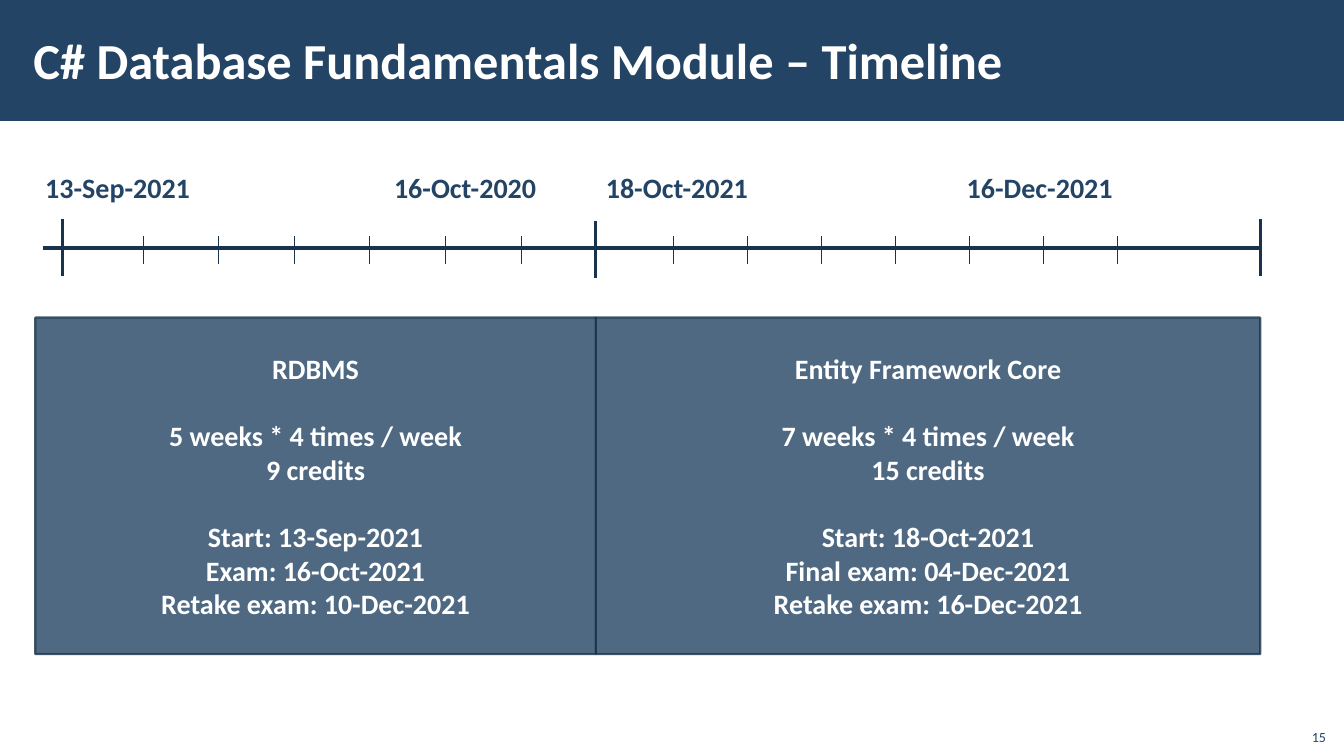
from dataclasses import dataclass
from pptx import Presentation
from pptx.dml.color import RGBColor
from pptx.enum.shapes import MSO_CONNECTOR, MSO_SHAPE
from pptx.enum.text import MSO_ANCHOR, MSO_AUTO_SIZE, PP_ALIGN
from pptx.oxml.ns import qn
from pptx.slide import Slide
from pptx.text.text import TextFrame
from pptx.util import Inches, Pt
from lxml.etree import SubElement

COLORS = {"navy": "234465", "edge": "1A334C", "white": "FFFFFF"}
FONT = "Calibri"
WIDTH, HEIGHT = Inches(13.33), Inches(7.5)
LEFT, MIDDLE, RIGHT = 2.63, 44.34, 93.77
AXIS, TICK_ROW, LABEL_ROW = 32.8, 33.07, 21.9


@dataclass
class Area:
    col: float
    row: float
    cols: float
    rows: float


@dataclass
class Label:
    text: str
    area: Area
    size: float = 20
    color: str = "navy"
    bold: bool = True
    align: PP_ALIGN = PP_ALIGN.LEFT
    anchor: MSO_ANCHOR = MSO_ANCHOR.TOP
    margin: float = 0.1
    wrap: bool = False


@dataclass
class Course:
    area: Area
    groups: list[list[str]]


@dataclass
class Ticks:
    first: float
    step: float
    count: int
    row: float = TICK_ROW
    half: float = 1.87
    weight: float = 0.5


LABELS = [
    Label("C# Database Fundamentals Module – Timeline", Area(1.58, 1.4, 79.74, 12.93), 36, "white",
          anchor=MSO_ANCHOR.MIDDLE, margin=0.12, wrap=True),
    Label("13-Sep-2021", Area(LEFT, LABEL_ROW, 12.4, 5.87)),
    Label("16-Oct-2020", Area(28.58, LABEL_ROW, 12.23, 5.87)),
    Label("18-Oct-2021", Area(MIDDLE, LABEL_ROW, 12.23, 5.87)),
    Label("16-Dec-2021", Area(71.19, LABEL_ROW, 12.45, 5.87)),
    Label("15", Area(96.4, 94.93, 3, 4.27), 10, bold=False, align=PP_ALIGN.RIGHT,
          anchor=MSO_ANCHOR.BOTTOM, wrap=True),
]

COURSES = [
    Course(Area(LEFT, 42, MIDDLE - LEFT, 44.53), [
        ["RDBMS"],
        ["5 weeks * 4 times / week", "9 credits"],
        ["Start: 13-Sep-2021", "Exam: 16-Oct-2021", "Retake exam: 10-Dec-2021"],
    ]),
    Course(Area(MIDDLE, 42, RIGHT - MIDDLE, 44.53), [
        ["Entity Framework Core"],
        ["7 weeks * 4 times / week", "15 credits"],
        ["Start: 18-Oct-2021", "Final exam: 04-Dec-2021", "Retake exam: 16-Dec-2021"],
    ]),
]

TICKS = [
    Ticks(4.65, 0, 1, AXIS, 3.77, 2.25),
    Ticks(MIDDLE, 0, 1, 33, 3.77, 2.25),
    Ticks(RIGHT, 0, 1, AXIS, 3.77, 2.25),
    Ticks(10.63, 5.63, 6),
    Ticks(50.11, 5.51, 7),
]


def x(col: float) -> int:
    """Return the horizontal position of a column on the 100-column grid."""
    return round(WIDTH * col / 100)


def y(row: float) -> int:
    """Return the vertical position of a row on the 100-row grid."""
    return round(HEIGHT * row / 100)


def rgb(name: str) -> RGBColor:
    """Return a named colour."""
    return RGBColor.from_string(COLORS[name])


def place(area: Area) -> tuple[int, int, int, int]:
    """Return left, top, width and height of an area."""
    return x(area.col), y(area.row), x(area.cols), y(area.rows)


def format_text(tf: TextFrame, size: float, color: str, bold: bool, align: PP_ALIGN) -> None:
    """Format every paragraph and run of a text frame."""
    for p in tf.paragraphs:
        p.alignment = align
        for r in p.runs:
            r.font.name, r.font.size, r.font.bold = FONT, Pt(size), bold
            r.font.color.rgb = rgb(color)


def add_label(s: Slide, label: Label) -> None:
    """Add a one-line text box."""
    tf = s.shapes.add_textbox(*place(label.area)).text_frame
    tf.text = label.text
    tf.word_wrap = label.wrap
    tf.auto_size = MSO_AUTO_SIZE.NONE if label.wrap else MSO_AUTO_SIZE.SHAPE_TO_FIT_TEXT
    tf.vertical_anchor = label.anchor
    tf.margin_left = tf.margin_right = Inches(label.margin)
    format_text(tf, label.size, label.color, label.bold, label.align)


def add_course(s: Slide, course: Course) -> None:
    """Add a translucent course box with spaced groups of lines."""
    sp = s.shapes.add_shape(MSO_SHAPE.RECTANGLE, *place(course.area))
    sp.shadow.inherit = False
    sp.fill.solid()
    sp.fill.fore_color.rgb = rgb("navy")
    sp.line.color.rgb = rgb("edge")
    sp.line.width = Pt(1.5)
    for color in sp._element.spPr.iter(qn("a:srgbClr")):
        SubElement(color, qn("a:alpha")).set("val", "80000")
    tf = sp.text_frame
    tf.word_wrap = True
    tf.vertical_anchor = MSO_ANCHOR.MIDDLE
    tf.text = "\n".join(line for group in course.groups for line in group)
    format_text(tf, 20, "white", True, PP_ALIGN.CENTER)
    start = 0
    for group in course.groups[:-1]:
        start += len(group)
        tf.paragraphs[start].space_before = Pt(24)


def add_line(s: Slide, col1: float, row1: float, col2: float, row2: float, weight: float) -> None:
    """Add a straight timeline stroke."""
    line = s.shapes.add_connector(MSO_CONNECTOR.STRAIGHT, x(col1), y(row1), x(col2), y(row2))
    line.line.color.rgb = rgb("edge")
    line.line.width = Pt(weight)
    SubElement(line._element.spPr, qn("a:effectLst"))


def main() -> None:
    """Build and save the timeline slide."""
    prs = Presentation()
    prs.slide_width, prs.slide_height = WIDTH, HEIGHT
    s = prs.slides.add_slide(prs.slide_layouts[6])
    banner = s.shapes.add_shape(MSO_SHAPE.RECTANGLE, *place(Area(0, 0, 100, 16)))
    banner.shadow.inherit = False
    banner.fill.solid()
    banner.fill.fore_color.rgb = rgb("navy")
    banner.line.fill.background()
    for course in COURSES:
        add_course(s, course)
    add_line(s, 3.23, AXIS, RIGHT, AXIS, 2.25)
    for ticks in TICKS:
        for i in range(ticks.count):
            col = ticks.first + i * ticks.step
            add_line(s, col, ticks.row - ticks.half, col, ticks.row + ticks.half, ticks.weight)
    for label in LABELS:
        add_label(s, label)
    prs.save("out.pptx")


if __name__ == "__main__":
    main()
